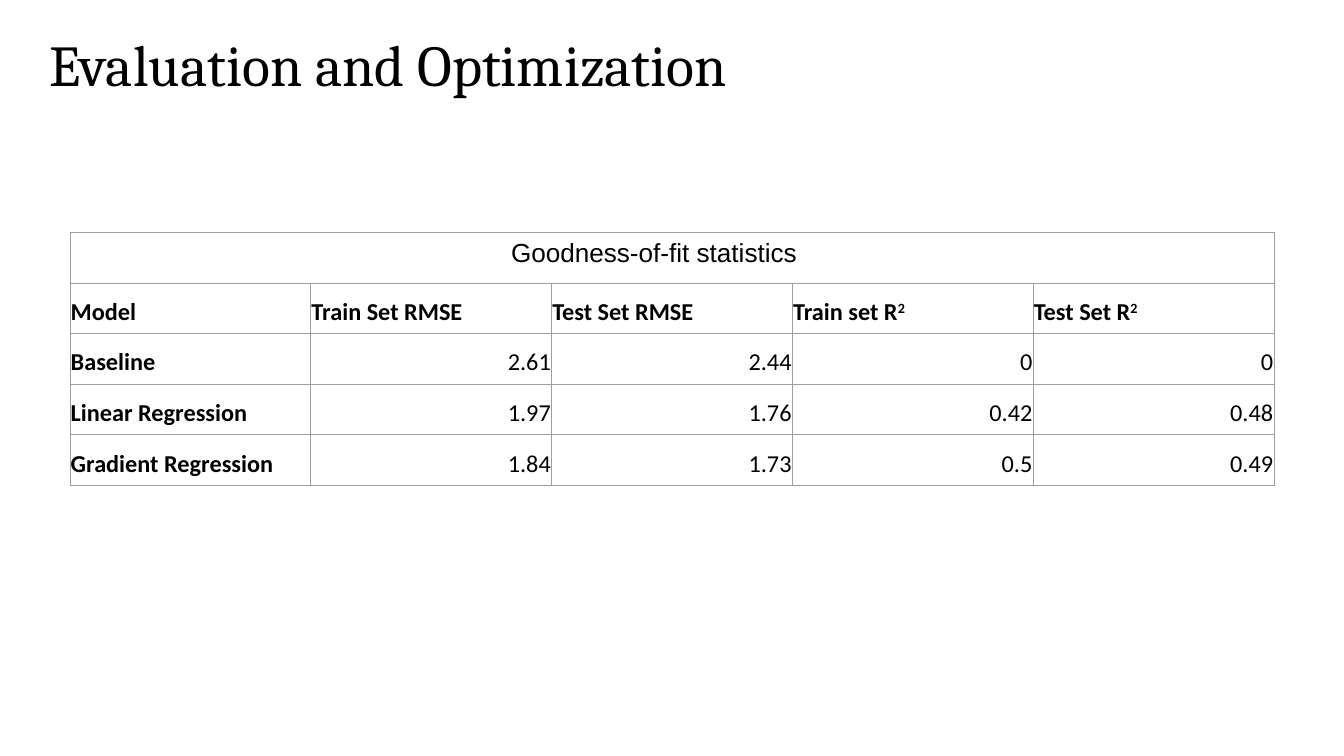
import dataclasses

import pptx
import pptx.dml.color
import pptx.enum.text
import pptx.oxml.ns
import pptx.util
from lxml import etree

Pt = pptx.util.Pt
RGBColor = pptx.dml.color.RGBColor
PP_ALIGN = pptx.enum.text.PP_ALIGN
MSO_ANCHOR = pptx.enum.text.MSO_ANCHOR


@dataclasses.dataclass(frozen=True)
class Theme:
    text: str = "000000"
    border: str = "9E9E9E"
    background: str = "FFFFFF"
    title_font: str = "Cambria"
    caption_font: str = "Arial"
    body_font: str = "Calibri"
    title_size: float = 62
    caption_size: float = 28
    body_size: float = 26
    border_width: float = 0.75


THEME = Theme()

TITLE = "Evaluation and Optimization"
CAPTION = "Goodness-of-fit statistics"
HEADERS = ["Model", "Train Set RMSE", "Test Set RMSE", "Train set R²", "Test Set R²"]
RESULTS = [
    ["Baseline", "2.61", "2.44", "0", "0"],
    ["Linear Regression", "1.97", "1.76", "0.42", "0.48"],
    ["Gradient Regression", "1.84", "1.73", "0.5", "0.49"],
]


def set_font(paragraph, name, size, bold=False):
    paragraph.font.name = name
    paragraph.font.size = Pt(size)
    paragraph.font.bold = bold
    paragraph.font.color.rgb = RGBColor.from_string(THEME.text)


def set_margins(target, left, top, right, bottom):
    target.margin_left, target.margin_top = Pt(left), Pt(top)
    target.margin_right, target.margin_bottom = Pt(right), Pt(bottom)


def add_title(slide, left, top, width, height):
    shape = slide.shapes.add_textbox(Pt(left), Pt(top), Pt(width), Pt(height))
    frame = shape.text_frame
    frame.word_wrap = True
    set_margins(frame, 10.8, 5, 10.8, 5)
    paragraph = frame.paragraphs[0]
    paragraph.text = TITLE
    paragraph.line_spacing = 0.9
    set_font(paragraph, THEME.title_font, THEME.title_size)


def outline_cell(cell):
    """Give the cell a thin line on all four sides and no fill."""
    properties = cell._tc.get_or_add_tcPr()
    qn = pptx.oxml.ns.qn
    for side in ("a:lnL", "a:lnR", "a:lnT", "a:lnB"):
        line = etree.SubElement(properties, qn(side), w=str(Pt(THEME.border_width)))
        fill = etree.SubElement(line, qn("a:solidFill"))
        etree.SubElement(fill, qn("a:srgbClr"), val=THEME.border)
    cell.fill.background()


def write_label(paragraph, label):
    """Write the label, with a trailing ² as a raised 2."""
    paragraph.add_run().text = label.removesuffix("²")
    if label.endswith("²"):
        exponent = paragraph.add_run()
        exponent.text = "2"
        exponent.font._element.set("baseline", "30000")


def fill_cell(cell, label, is_number):
    cell.vertical_anchor = MSO_ANCHOR.BOTTOM
    set_margins(cell, 0.75, 0.75, 0.75, 7.2)
    paragraph = cell.text_frame.paragraphs[0]
    write_label(paragraph, label)
    set_font(paragraph, THEME.body_font, THEME.body_size, bold=not is_number)
    if is_number:
        paragraph.alignment = PP_ALIGN.RIGHT
        paragraph.line_spacing = 1.15


def add_statistics_table(slide, left, top, width, height):
    body = [HEADERS] + RESULTS
    row_count, column_count = len(body) + 1, len(HEADERS)
    table = slide.shapes.add_table(
        row_count, column_count, Pt(left), Pt(top), Pt(width), Pt(height)
    ).table
    table.first_row = table.horz_banding = False
    for column in table.columns:
        column.width = Pt(width / column_count)
    for row in table.rows:
        row.height = Pt(height / row_count)
    for cell in table.iter_cells():
        outline_cell(cell)

    caption = table.cell(0, 0)
    caption.merge(table.cell(0, column_count - 1))
    set_margins(caption, 7.2, 7.2, 46, 7.2)
    paragraph = caption.text_frame.paragraphs[0]
    paragraph.text = CAPTION
    paragraph.alignment = PP_ALIGN.CENTER
    set_font(paragraph, THEME.caption_font, THEME.caption_size)

    for row_index, labels in enumerate(body, start=1):
        for column_index, label in enumerate(labels):
            is_number = row_index > 1 and column_index > 0
            fill_cell(table.cell(row_index, column_index), label, is_number)


def main():
    presentation = pptx.Presentation()
    presentation.slide_width, presentation.slide_height = Pt(1440), Pt(810)
    slide = presentation.slides.add_slide(presentation.slide_layouts[6])
    slide.background.fill.solid()
    slide.background.fill.fore_color.rgb = RGBColor.from_string(THEME.background)
    add_title(slide, left=42.5, top=34.5, width=1043, height=77)
    add_statistics_table(slide, left=75, top=249, width=1290, height=271)
    presentation.save("out.pptx")


if __name__ == "__main__":
    main()
